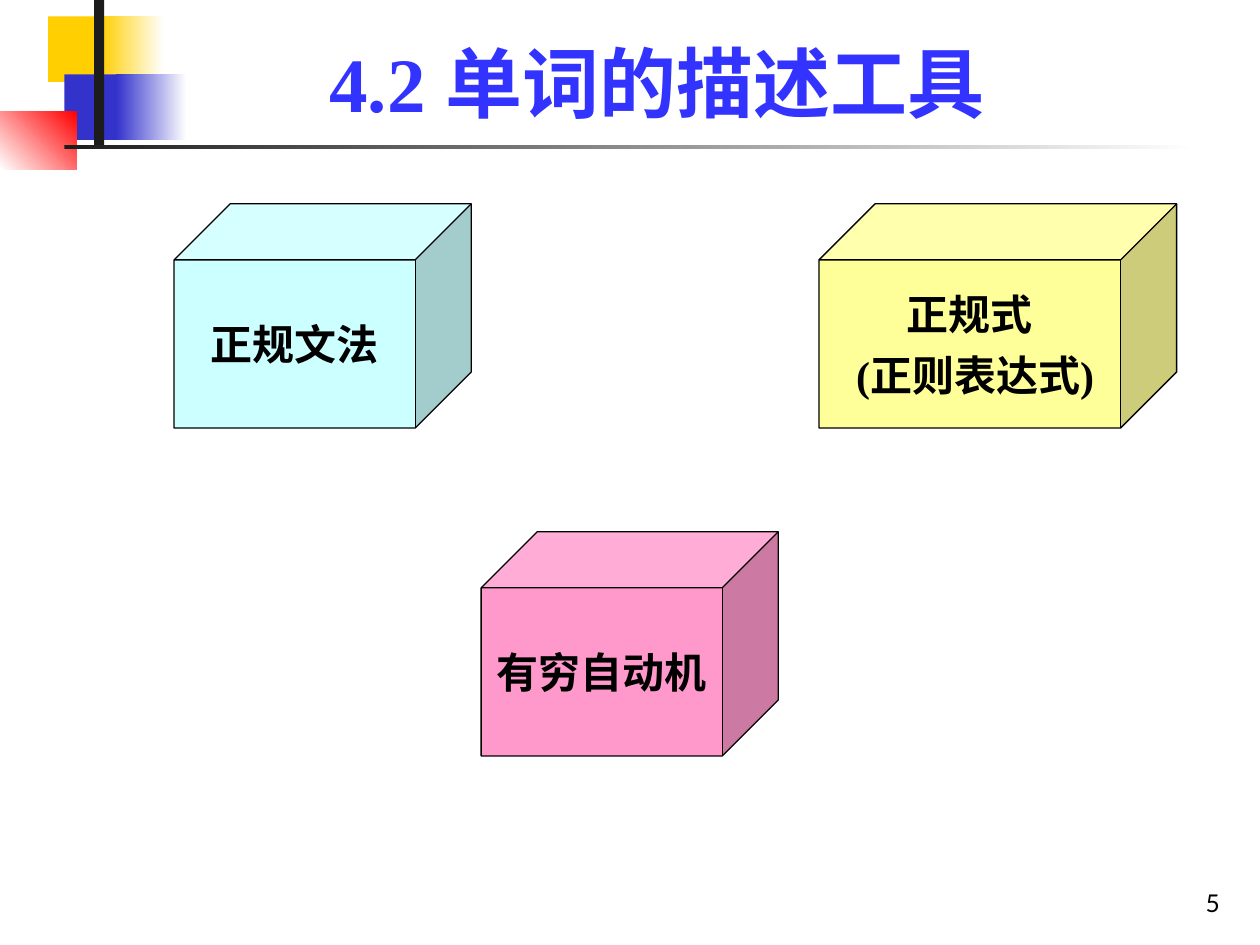
from pptx import Presentation
from pptx.dml.color import RGBColor
from pptx.enum.shapes import MSO_SHAPE
from pptx.enum.text import MSO_ANCHOR, PP_ALIGN
from pptx.util import Cm, Pt

RECTANGLE, CUBE = MSO_SHAPE.RECTANGLE, MSO_SHAPE.CUBE
CENTER, RIGHT = PP_ALIGN.CENTER, PP_ALIGN.RIGHT
MIDDLE, BOTTOM = MSO_ANCHOR.MIDDLE, MSO_ANCHOR.BOTTOM
TITLE_ONLY = 5
SERIF, SANS = "Times New Roman", "Lato"
BLACK, WHITE, CHARCOAL = "000000", "FFFFFF", "1C1C1C"
GOLD, NAVY, RED = "FFCF01", "3333CC", "FF0000"
CUBE_WIDTH, CUBE_HEIGHT = 5.99, 4.52


def color(value):
    return RGBColor.from_string(value)


def add_shape(page, kind, box):
    shape = page.shapes.add_shape(kind, *(Cm(length) for length in box))
    shape.shadow.inherit = False
    return shape


def write(frame, lines, font, size, text_color, align, anchor, bold=False, gap=0):
    frame.vertical_anchor = anchor
    for index, line in enumerate(lines):
        para = frame.paragraphs[0] if index == 0 else frame.add_paragraph()
        para.text = line
        para.alignment = align
        if index:
            para.space_before = Pt(gap)
        para.font.name = font
        para.font.size = Pt(size)
        para.font.bold = bold
        para.font.color.rgb = color(text_color)


def add_block(page, box, start, end=None, angle=0):
    """Borderless rectangle, solid or fading from start to end."""
    block = add_shape(page, RECTANGLE, box)
    block.line.fill.background()
    if end is None:
        block.fill.solid()
        block.fill.fore_color.rgb = color(start)
        return
    block.fill.gradient()
    block.fill.gradient_angle = angle
    for stop, value in zip(block.fill.gradient_stops, (start, end)):
        stop.color.rgb = color(value)


def add_decoration(page, box):
    """Overlapping colour blocks with a post and a fading rule."""
    left, top, width, height = box
    blocks = [
        (0.97, 0.33, 1.7, 1.32, GOLD),
        (2.03, 0.33, 1.27, 1.32, GOLD, WHITE),
        (1.3, 1.5, 1.63, 1.32, NAVY),
        (2.34, 1.5, 1.42, 1.32, NAVY, WHITE),
        (0, 2.24, 1.55, 1.17, WHITE, RED, 45),
        (1.9, 0, 0.2, height, CHARCOAL),
        (1.3, height, width - 1.3, 0.08, CHARCOAL, WHITE),
    ]
    for x, y, block_width, block_height, *fill in blocks:
        add_block(page, (left + x, top + y, block_width, block_height), *fill)


def add_title(page, box, text):
    title = page.shapes.title
    title.left, title.top, title.width, title.height = (Cm(length) for length in box)
    write(title.text_frame, [text], SERIF, 44, "3333FF", CENTER, BOTTOM, bold=True)


def add_page_number(page, box, number):
    number_box = page.shapes.add_textbox(*(Cm(length) for length in box))
    number_box.text_frame.word_wrap = True
    write(number_box.text_frame, [number], SANS, 14, BLACK, RIGHT, BOTTOM)


def add_tool_cube(page, box, fill, lines):
    cube = add_shape(page, CUBE, box)
    cube.adjustments[0] = 0.25
    cube.fill.solid()
    cube.fill.fore_color.rgb = color(fill)
    cube.line.color.rgb = color(BLACK)
    cube.line.width = Pt(0.75)
    cube.text_frame.word_wrap = False
    write(cube.text_frame, lines, SERIF, 24, BLACK, CENTER, MIDDLE, bold=True, gap=6)


def main():
    deck = Presentation()
    deck.slide_width, deck.slide_height = Cm(25.4), Cm(19.05)
    page = deck.slides.add_slide(deck.slide_layouts[TITLE_ONLY])

    # Header
    add_decoration(page, (0, 0, 24.16, 2.92))
    add_title(page, (3.2, 0.58, 20.09, 2.13), "4.2 单词的描述工具")

    # The three description tools
    tools = [
        (3.51, 4.11, CUBE_WIDTH, "CCFFFF", ["正规文法"]),
        (16.51, 4.11, 7.21, "FFFF99", ["正规式", " (正则表达式)"]),
        (9.7, 10.72, CUBE_WIDTH, "FF99CC", ["有穷自动机"]),
    ]
    for left, top, width, fill, lines in tools:
        add_tool_cube(page, (left, top, width, CUBE_HEIGHT), fill, lines)

    # Footer
    add_page_number(page, (19.56, 17.35, 5.28, 1.27), "5")

    deck.save("out.pptx")


if __name__ == "__main__":
    main()
